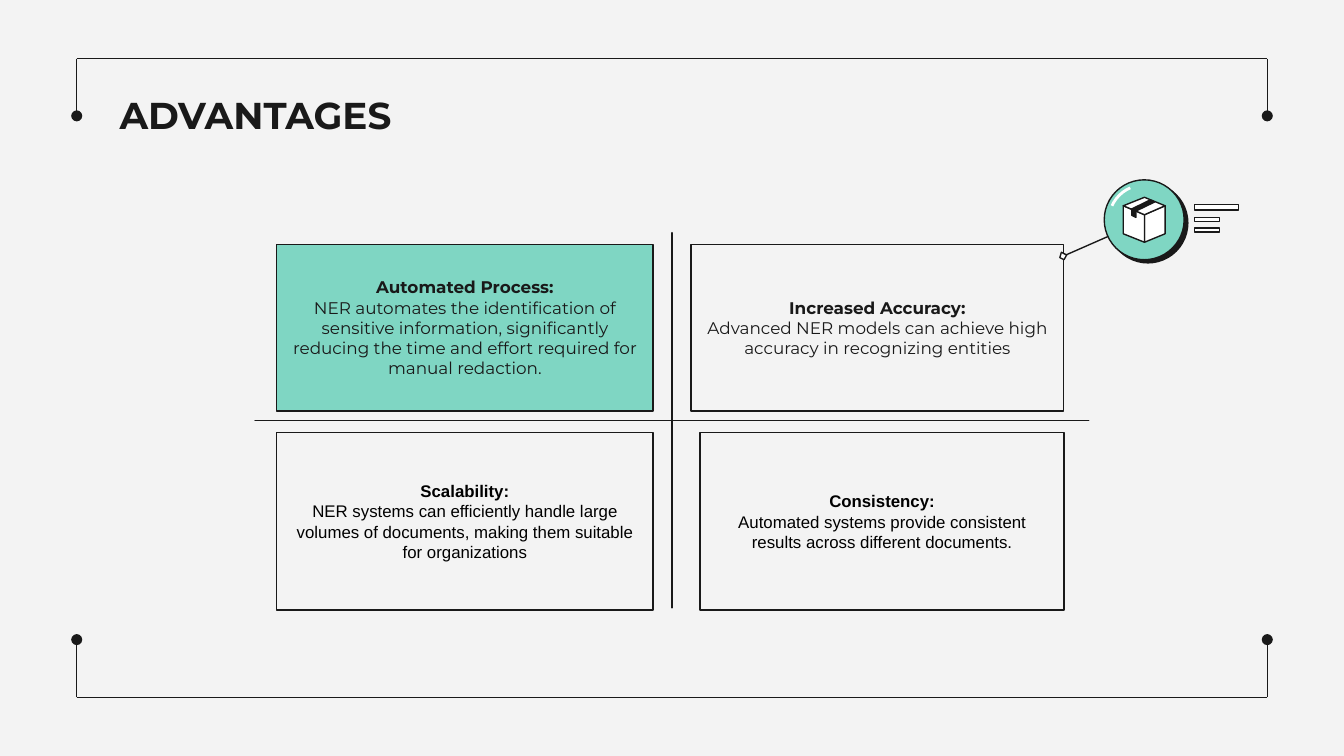
"""Build the ADVANTAGES slide: four cards around a cross, with a parcel icon."""
import lxml.etree
import pptx
import pptx.dml.color
import pptx.enum.shapes
import pptx.enum.text
import pptx.oxml.ns
import pptx.util

Cm = pptx.util.Cm
Pt = pptx.util.Pt
SHAPES = pptx.enum.shapes.MSO_SHAPE
COLORS = {"ground": "F3F3F3", "ink": "191919", "mint": "7FD6C3",
          "white": "FFFFFF", "black": "000000"}

CARDS = [
    ((5.23, 4.62, 7.11, 3.15), "mint", "Montserrat", "ink", "Automated Process:",
     "NER automates the identification of sensitive information, significantly "
     "reducing the time and effort required for manual redaction."),
    ((5.23, 8.18, 7.11, 3.35), None, "Arial", "black", "Scalability:",
     "NER systems can efficiently handle large volumes of documents, "
     "making them suitable for organizations"),
    ((13.23, 8.18, 6.88, 3.35), None, "Arial", "black", "Consistency:",
     "Automated systems provide consistent results across different documents."),
    ((13.06, 4.62, 7.04, 3.15), None, "Montserrat", "ink", "Increased Accuracy:",
     "Advanced NER models can achieve high accuracy in recognizing entities"),
]

PARCEL_FACES = [
    ("white", [(21.63, 4.06), (22.02, 3.89), (22.02, 4.42), (21.63, 4.58)]),
    ("white", [(21.63, 4.06), (21.23, 3.89), (21.23, 4.42), (21.63, 4.58)]),
    ("white", [(21.63, 3.73), (22.02, 3.89), (21.63, 4.06), (21.23, 3.89)]),
    ("ink", [(21.74, 3.78), (21.82, 3.82), (21.47, 3.99), (21.39, 3.95)]),
    ("ink", [(21.39, 3.95), (21.47, 3.99), (21.47, 4.11), (21.39, 4.07)]),
]


def rgb(name):
    """Return the named colour."""
    return pptx.dml.color.RGBColor.from_string(COLORS[name])


def style_shape(shape, fill, line="ink", width=0.75):
    """Set fill and outline and switch the shadow off."""
    shape.shadow.inherit = False
    if fill:
        shape.fill.solid()
        shape.fill.fore_color.rgb = rgb(fill)
    else:
        shape.fill.background()
    shape.line.color.rgb = rgb(line)
    shape.line.width = Pt(width)


def add_shape(slide, kind, box, fill, **style):
    """Add a preset shape; the box is left, top, width, height in centimetres."""
    shape = slide.shapes.add_shape(kind, *map(Cm, box))
    style_shape(shape, fill, **style)
    return shape


def add_polygon(slide, points, fill):
    """Add a closed outline through points in centimetres."""
    corners = [(Cm(x), Cm(y)) for x, y in points]
    builder = slide.shapes.build_freeform(*corners[0])
    builder.add_line_segments(corners[1:], close=True)
    style_shape(builder.convert_to_shape(), fill)


def add_line(slide, start, end, dot=False):
    """Add a straight line, with a round dot at its end on request."""
    connector = slide.shapes.add_connector(
        pptx.enum.shapes.MSO_CONNECTOR.STRAIGHT, *map(Cm, start + end))
    connector.line.color.rgb = rgb("ink")
    connector.line.width = Pt(0.75)
    if dot:
        tail = lxml.etree.SubElement(
            connector.line._get_or_add_ln(), pptx.oxml.ns.qn("a:tailEnd"))
        tail.set("type", "oval")
    lxml.etree.SubElement(connector._element.spPr, pptx.oxml.ns.qn("a:effectLst"))


def prepare_frame(shape, anchor):
    """Wrap the text and set equal margins."""
    frame = shape.text_frame
    frame.word_wrap = True
    frame.vertical_anchor = anchor
    frame.margin_left = frame.margin_right = Cm(0.25)
    frame.margin_top = frame.margin_bottom = Cm(0.25)
    return frame


def add_run(paragraph, text, font, size, color, bold):
    """Add one formatted run."""
    run = paragraph.add_run()
    run.text = text
    run.font.name = font
    run.font.size = Pt(size)
    run.font.bold = bold
    run.font.color.rgb = rgb(color)


def add_title(slide, text):
    """Add the slide heading."""
    box = slide.shapes.add_textbox(Cm(2.01), Cm(1.5), Cm(21.41), Cm(1.6))
    frame = prepare_frame(box, pptx.enum.text.MSO_ANCHOR.TOP)
    add_run(frame.paragraphs[0], text, "Montserrat", 20, "ink", True)


def add_card(slide, box, fill, font, color, heading, body):
    """Add a card with a bold heading above its body."""
    shape = add_shape(slide, SHAPES.RECTANGLE, box, fill)
    frame = prepare_frame(shape, pptx.enum.text.MSO_ANCHOR.MIDDLE)
    for paragraph, text, bold in ((frame.paragraphs[0], heading, True),
                                  (frame.add_paragraph(), body, False)):
        paragraph.alignment = pptx.enum.text.PP_ALIGN.CENTER
        add_run(paragraph, text, font, 9, color, bold)


def add_brackets(slide):
    """Add the top and bottom brackets with dotted ends."""
    left, right = 1.45, 23.95
    for edge, inner in ((1.11, 2.19), (13.18, 12.09)):
        add_line(slide, (left, edge), (right, edge))
        for side in (left, right):
            add_line(slide, (side, edge), (side, inner), dot=True)


def add_parcel_icon(slide):
    """Add the parcel badge with its pointer and text bars."""
    for top, width, height in ((3.87, 0.84, 0.1), (4.11, 0.48, 0.08), (4.31, 0.48, 0.08)):
        add_shape(slide, SHAPES.RECTANGLE, (22.57, top, width, height), "white")
    add_line(slide, (20.12, 4.83), (20.94, 4.47))
    add_polygon(slide, [(20.06, 4.77), (20.16, 4.82), (20.11, 4.91), (20.03, 4.87)], "white")
    for left, top, fill in ((20.94, 3.46, "ink"), (20.87, 3.4, "mint")):
        add_shape(slide, SHAPES.OVAL, (left, top, 1.51, 1.51), fill)
    shine = add_shape(slide, SHAPES.ARC, (20.96, 3.5, 1.32, 1.32), None,
                      line="white", width=1.5)
    for index, degrees in enumerate((204, 247)):
        shine.adjustments[index] = degrees * 0.6
    for fill, points in PARCEL_FACES:
        add_polygon(slide, points, fill)


def main():
    """Build and save the presentation."""
    presentation = pptx.Presentation()
    presentation.slide_width, presentation.slide_height = Cm(25.4), Cm(14.29)
    slide = presentation.slides.add_slide(presentation.slide_layouts[6])
    slide.background.fill.solid()
    slide.background.fill.fore_color.rgb = rgb("ground")
    add_brackets(slide)
    add_title(slide, "ADVANTAGES")
    cross = add_shape(slide, SHAPES.MATH_PLUS, (1.98, 3.12, 21.44, 9.65), None)
    cross.adjustments[0] = 0
    for card in CARDS:
        add_card(slide, *card)
    add_parcel_icon(slide)
    presentation.save("out.pptx")


if __name__ == "__main__":
    main()
